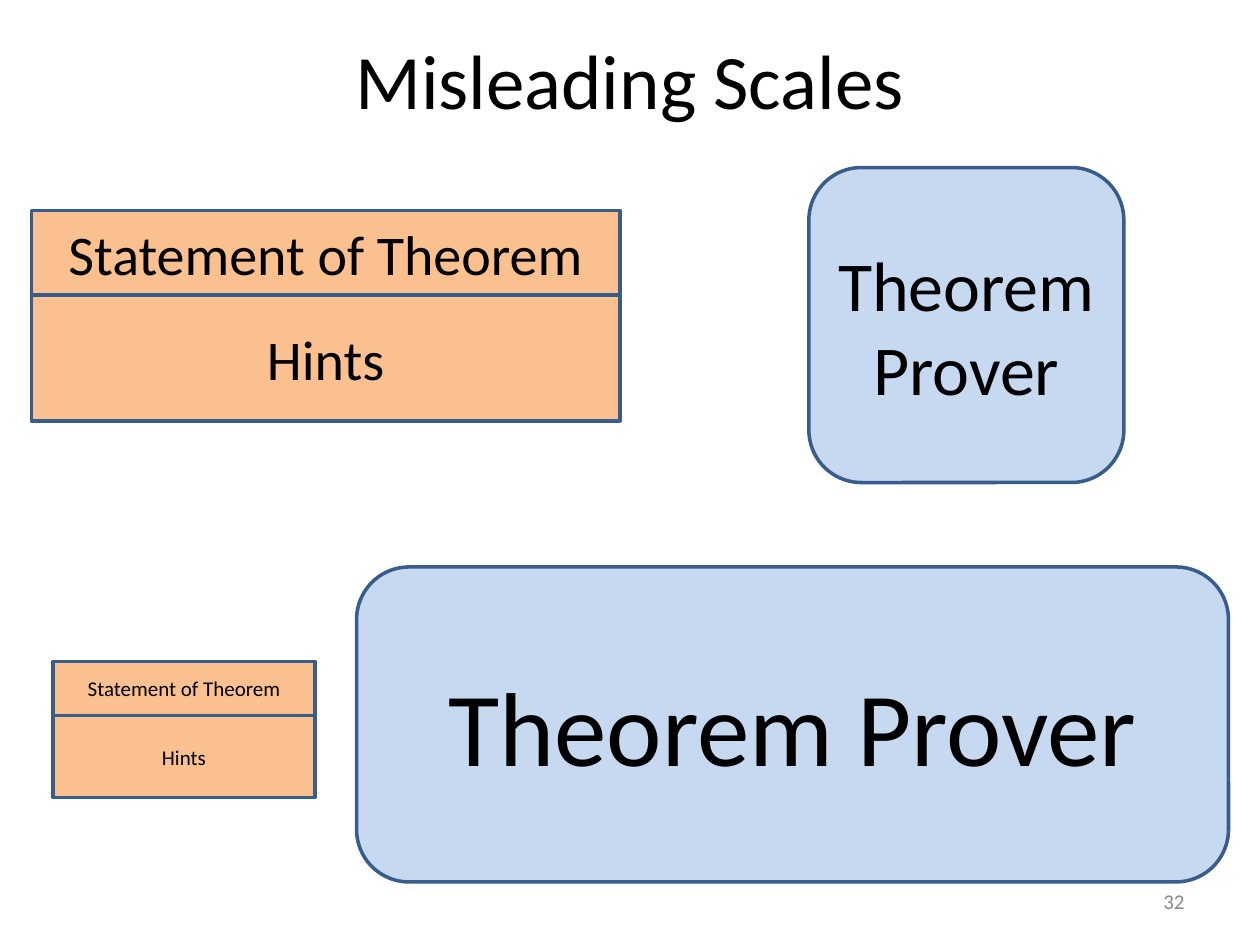
from pptx import Presentation
from pptx import util as u
from pptx.dml.color import RGBColor
from pptx.enum import shapes, text

BLACK = RGBColor(0x00, 0x00, 0x00)
GRAY = RGBColor(0x89, 0x89, 0x89)
ORANGE = RGBColor(0xFA, 0xC0, 0x90)
LIGHT_BLUE = RGBColor(0xC6, 0xD9, 0xF1)
OUTLINE = RGBColor(0x38, 0x5D, 0x8A)


def write(shape, words, size, color=BLACK, align=text.PP_ALIGN.CENTER):
    frame = shape.text_frame
    frame.word_wrap = True
    frame.vertical_anchor = text.MSO_ANCHOR.MIDDLE
    paragraph = frame.paragraphs[0]
    paragraph.alignment = align
    run = paragraph.add_run()
    run.text = words
    run.font.name = "Calibri"
    run.font.size = u.Pt(size)
    run.font.color.rgb = color


def add_box(parent, kind, place, fill, words, size):
    shape = parent.add_shape(kind, *map(u.Inches, place))
    shape.shadow.inherit = False
    shape.fill.solid()
    shape.fill.fore_color.rgb = fill
    shape.line.color.rgb = OUTLINE
    shape.line.width = u.Pt(2)
    write(shape, words, size)


presentation = Presentation()
presentation.slide_width = u.Inches(10)
presentation.slide_height = u.Inches(7.5)
slide = presentation.slides.add_slide(presentation.slide_layouts[6])

# Title and slide number
title = slide.shapes.add_textbox(u.Inches(0.5), 0, u.Inches(9), u.Inches(1.25))
write(title, "Misleading Scales", 44)
number = slide.shapes.add_textbox(
    u.Inches(7.17), u.Inches(6.95), u.Inches(2.33), u.Inches(0.4))
write(number, "32", 12, GRAY, text.PP_ALIGN.RIGHT)

# Theorem cards: the statement sits directly on top of the hints
cards = [
    (slide.shapes, 0.25, 1.67, 4.67, 0.67, 1, 32),
    (slide.shapes.add_group_shape().shapes, 0.42, 5.25, 2.08, 0.43, 0.65, 12),
]
for parent, left, top, width, statement_height, hints_height, size in cards:
    add_box(parent, shapes.MSO_SHAPE.RECTANGLE,
            (left, top, width, statement_height),
            ORANGE, "Statement of Theorem", size)
    add_box(parent, shapes.MSO_SHAPE.RECTANGLE,
            (left, top + statement_height, width, hints_height),
            ORANGE, "Hints", size)

# Theorem provers, one per scale
for left, top, width, size in [(6.42, 1.33, 2.5, 40), (2.83, 4.5, 6.92, 60)]:
    add_box(slide.shapes, shapes.MSO_SHAPE.ROUNDED_RECTANGLE,
            (left, top, width, 2.5), LIGHT_BLUE, "Theorem Prover", size)

presentation.save("out.pptx")
